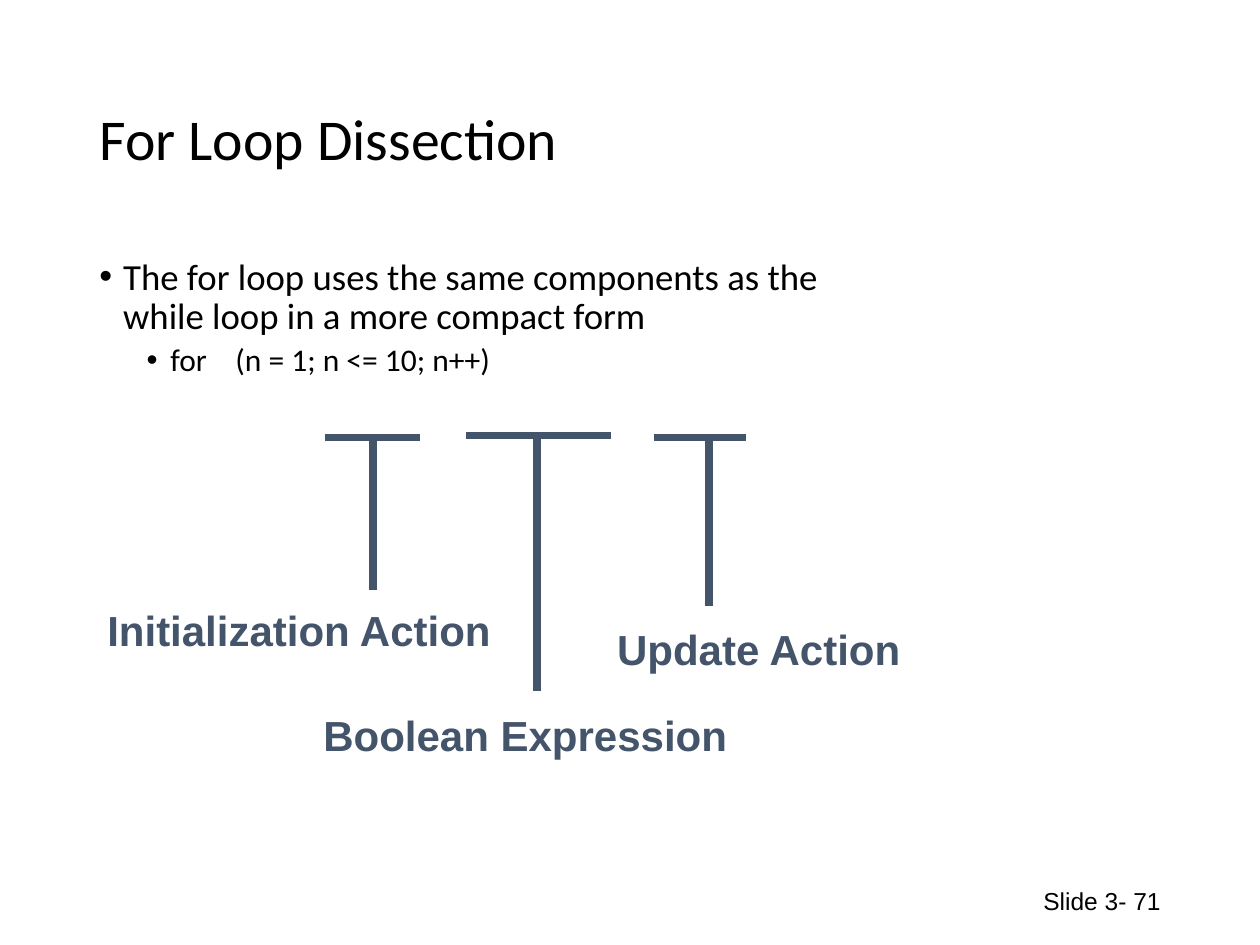
from dataclasses import dataclass

from lxml.etree import SubElement
from pptx import Presentation
from pptx.dml.color import RGBColor
from pptx.enum.shapes import MSO_CONNECTOR
from pptx.enum.text import MSO_ANCHOR, MSO_AUTO_SIZE, PP_ALIGN
from pptx.oxml.ns import qn
from pptx.util import Cm, Pt


@dataclass(frozen=True)
class Theme:
    text: RGBColor = RGBColor(0x00, 0x00, 0x00)
    accent: RGBColor = RGBColor(0x44, 0x54, 0x6A)
    body_font: str = "Calibri"
    label_font: str = "Arial"
    title_size: float = 33
    body_sizes: tuple = (21, 18)
    label_size: float = 24
    footer_size: float = 14
    line_width: float = 4.5


class SlideBuilder:
    def __init__(self, slide, theme):
        self.slide = slide
        self.theme = theme

    def place(self, shape, left, top, width, height):
        shape.left, shape.top = Cm(left), Cm(top)
        shape.width, shape.height = Cm(width), Cm(height)

    def format_runs(self, paragraph, font_name, size, color, bold=False):
        for run in paragraph.runs:
            run.font.name = font_name
            run.font.size = Pt(size)
            run.font.color.rgb = color
            run.font.bold = bold

    def title(self, text, box):
        shape = self.slide.shapes.title
        self.place(shape, *box)
        frame = shape.text_frame
        frame.text = text
        frame.auto_size = MSO_AUTO_SIZE.NONE
        frame.vertical_anchor = MSO_ANCHOR.MIDDLE
        paragraph = frame.paragraphs[0]
        paragraph.alignment = PP_ALIGN.LEFT
        paragraph.line_spacing = 0.9
        self.format_runs(paragraph, self.theme.body_font, self.theme.title_size, self.theme.text)

    def bullets(self, items, box):
        shape = self.slide.placeholders[1]
        self.place(shape, *box)
        frame = shape.text_frame
        frame.auto_size = MSO_AUTO_SIZE.NONE
        for index, (level, space_before, parts) in enumerate(items):
            paragraph = frame.add_paragraph() if index else frame.paragraphs[0]
            paragraph.level = level
            paragraph.line_spacing = 0.9
            paragraph.space_before = Pt(space_before)
            paragraph.text = parts[0]
            for part in parts[1:]:
                paragraph.add_run().text = part
            self.format_runs(
                paragraph, self.theme.body_font, self.theme.body_sizes[level], self.theme.text
            )
            self.bullet(paragraph, 0.48 + 0.95 * level, 0.48)
        return frame.paragraphs

    def bullet(self, paragraph, margin, hanging):
        properties = paragraph._p.get_or_add_pPr()
        properties.set("marL", str(Cm(margin)))
        properties.set("indent", str(-Cm(hanging)))
        SubElement(properties, qn("a:buFont"), typeface=self.theme.label_font)
        SubElement(properties, qn("a:buChar"), char="•")

    def widen_space(self, run, points):
        run.font._element.set("spc", str(round(points * 100)))

    def text_box(self, text, box, size, color, alignment, bold=False, wrap=True):
        shape = self.slide.shapes.add_textbox(*(Cm(value) for value in box))
        frame = shape.text_frame
        frame.word_wrap = wrap
        frame.text = text
        paragraph = frame.paragraphs[0]
        paragraph.alignment = alignment
        self.format_runs(paragraph, self.theme.label_font, size, color, bold)
        return frame

    def label(self, text, box):
        frame = self.text_box(
            text, box, self.theme.label_size, self.theme.accent, PP_ALIGN.CENTER, True, False
        )
        frame.auto_size = MSO_AUTO_SIZE.SHAPE_TO_FIT_TEXT
        frame.paragraphs[0].space_before = Pt(2)

    def footer(self, text, box):
        frame = self.text_box(
            text, box, self.theme.footer_size, self.theme.text, PP_ALIGN.RIGHT
        )
        frame.vertical_anchor = MSO_ANCHOR.MIDDLE

    def line(self, shapes, start, end):
        connector = shapes.add_connector(
            MSO_CONNECTOR.STRAIGHT, *(Cm(value) for value in (*start, *end))
        )
        connector.line.color.rgb = self.theme.accent
        connector.line.width = Pt(self.theme.line_width)
        SubElement(connector._element.spPr, qn("a:effectLst"))

    def bracket(self, left, right, top, stem, bottom):
        group = self.slide.shapes.add_group_shape()
        self.line(group.shapes, (left, top), (right, top))
        self.line(group.shapes, (stem, top), (stem, bottom))


def main():
    presentation = Presentation()
    presentation.slide_width, presentation.slide_height = Cm(25.4), Cm(19.05)
    slide = presentation.slides.add_slide(presentation.slide_layouts[1])
    builder = SlideBuilder(slide, Theme())

    builder.title("For Loop Dissection", (1.75, 1.02, 21.9, 3.68))
    paragraphs = builder.bullets(
        [
            (0, 7.5, ["The for loop uses the same components as the\vwhile loop in a more compact form"]),
            (1, 3.8, ["for", " ", "(n = 1; n <= 10; n++)"]),
        ],
        (1.75, 5.08, 21.9, 3.28),
    )
    builder.widen_space(paragraphs[1].runs[1], 12.2)

    loop_parts = [
        ("Initialization Action", (6.55, 8.46, 8.82, 7.52, 11.89), (1.9, 12.07, 8.26, 1.27)),
        ("Boolean Expression", (9.4, 12.32, 8.78, 10.82, 13.92), (6.27, 14.17, 8.64, 1.27)),
        ("Update Action", (13.18, 15.04, 8.82, 14.3, 12.22), (12.17, 12.45, 6.25, 1.27)),
    ]
    for name, bracket, box in loop_parts:
        builder.bracket(*bracket)
        builder.label(name, box)

    builder.footer("Slide 3- 71", (17.93, 17.65, 5.72, 1.02))
    presentation.save("out.pptx")


if __name__ == "__main__":
    main()
